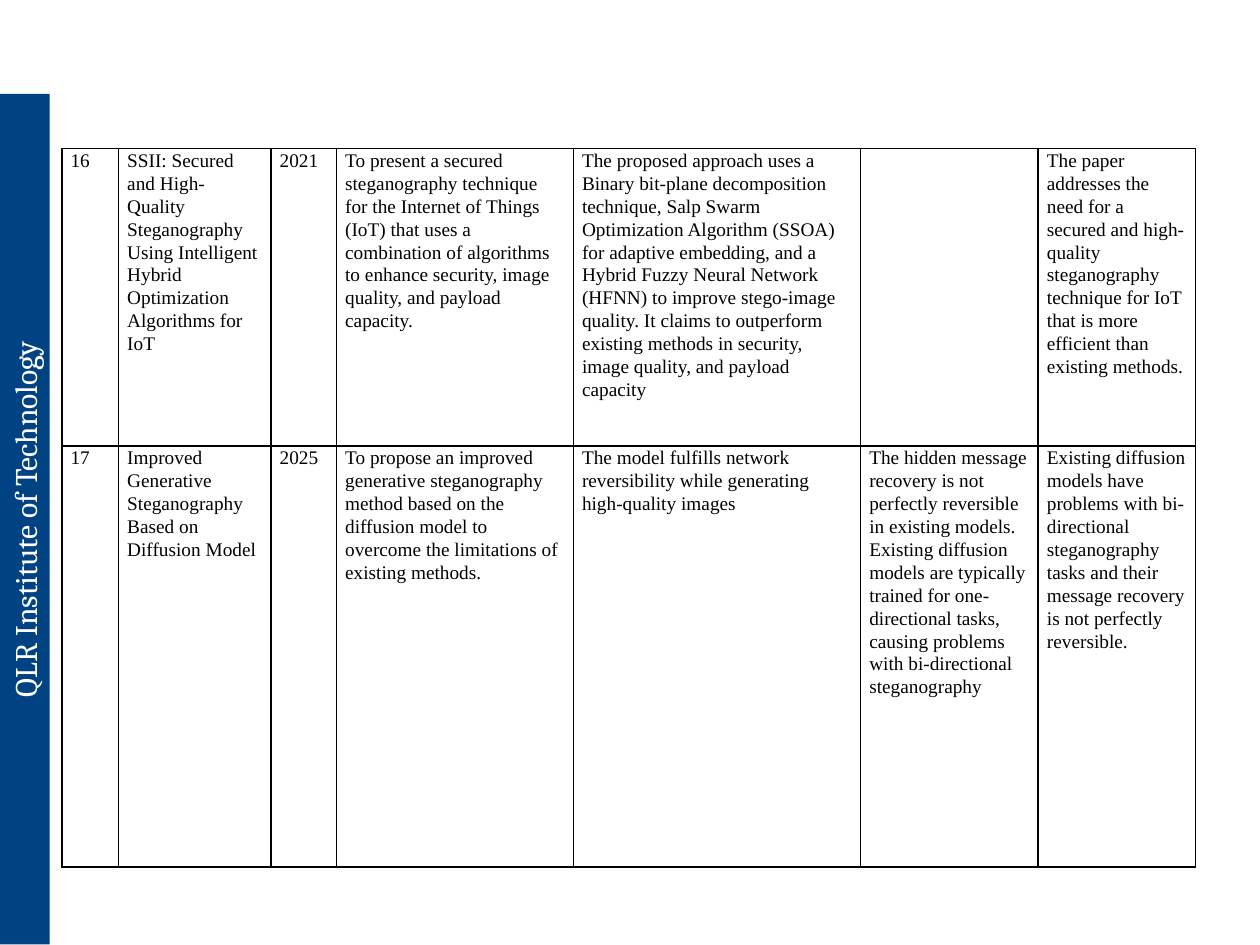
from dataclasses import dataclass
from typing import Any

from lxml import etree
from pptx import Presentation
from pptx.dml.color import RGBColor
from pptx.enum.shapes import MSO_SHAPE
from pptx.enum.text import MSO_ANCHOR, PP_ALIGN
from pptx.oxml.ns import qn
from pptx.util import Inches, Pt

RECTANGLE = MSO_SHAPE.RECTANGLE
MIDDLE = MSO_ANCHOR.MIDDLE
LEFT, CENTER = PP_ALIGN.LEFT, PP_ALIGN.CENTER
NAVY = RGBColor(0x00, 0x42, 0x82)
WHITE = RGBColor(0xFF, 0xFF, 0xFF)
BLACK = RGBColor(0x00, 0x00, 0x00)
BLANK_LAYOUT = 6

COLUMN_WIDTHS = [0.45, 1.21, 0.52, 1.88, 2.28, 1.41, 1.25]
ROW_HEIGHTS = [2.36, 3.34]
PAPERS = [
    [
        "16",
        "SSII: Secured and High-Quality Steganography Using Intelligent Hybrid "
        "Optimization Algorithms for IoT",
        "2021",
        "To present a secured steganography technique for the Internet of Things (IoT) "
        "that uses a combination of algorithms to enhance security, image quality, and "
        "payload capacity.",
        "The proposed approach uses a Binary bit-plane decomposition technique, Salp "
        "Swarm Optimization Algorithm (SSOA) for adaptive embedding, and a Hybrid Fuzzy "
        "Neural Network (HFNN) to improve stego-image quality. It claims to outperform "
        "existing methods in security, image quality, and payload capacity",
        "",
        "The paper addresses the need for a secured and high-quality steganography "
        "technique for IoT that is more efficient than existing methods.",
    ],
    [
        "17",
        "Improved Generative Steganography Based on Diffusion Model",
        "2025",
        "To propose an improved generative steganography method based on the diffusion "
        "model to overcome the limitations of existing methods.",
        "The model fulfills network reversibility while generating high-quality images",
        "The hidden message recovery is not perfectly reversible in existing models. "
        "Existing diffusion models are typically trained for one-directional tasks, "
        "causing problems with bi-directional steganography",
        "Existing diffusion models have problems with bi-directional steganography tasks "
        "and their message recovery is not perfectly reversible.",
    ],
]


def write_text(text_frame, text, *, font, size, color, align=LEFT, line_spacing=1.0):
    paragraph = text_frame.paragraphs[0]
    paragraph.alignment = align
    paragraph.line_spacing = line_spacing
    paragraph.font.size = Pt(size)
    if text:
        run = paragraph.add_run()
        run.text = text
        run.font.name = font
        run.font.size = Pt(size)
        run.font.color.rgb = color


@dataclass
class SlideBuilder:
    slide: Any
    banner_font: str = "Cambria"
    table_font: str = "Times New Roman"
    banner_size: float = 18
    table_size: float = 11
    border_width: float = 1

    def banner(self, text, left, top, width, height):
        shape = self.slide.shapes.add_shape(
            RECTANGLE, Inches(left), Inches(top), Inches(width), Inches(height))
        shape.rotation = 270
        shape.shadow.inherit = False
        shape.fill.solid()
        shape.fill.fore_color.rgb = NAVY
        shape.line.fill.background()
        shape.text_frame.word_wrap = True
        shape.text_frame.vertical_anchor = MIDDLE
        write_text(shape.text_frame, text, font=self.banner_font,
                   size=self.banner_size, color=WHITE, align=CENTER)

    def table(self, rows, left, top, column_widths, row_heights):
        frame = self.slide.shapes.add_table(
            len(rows), len(column_widths), Inches(left), Inches(top),
            Inches(sum(column_widths)), Inches(sum(row_heights)))
        table = frame.table
        table.first_row = table.horz_banding = False
        for column, width in zip(table.columns, column_widths):
            column.width = Inches(width)
        for row, height, texts in zip(table.rows, row_heights, rows):
            row.height = Inches(height)
            for cell, text in zip(row.cells, texts):
                self.cell(cell, text)

    def cell(self, cell, text):
        cell.margin_left = cell.margin_right = Inches(0.07)
        cell.margin_top = cell.margin_bottom = 0
        write_text(cell.text_frame, text, font=self.table_font,
                   size=self.table_size, color=BLACK, line_spacing=1.07)
        # Borders come before the fill in the cell properties
        properties = cell._tc.get_or_add_tcPr()
        for side in ("a:lnL", "a:lnR", "a:lnT", "a:lnB"):
            line = etree.SubElement(properties, qn(side), w=str(Pt(self.border_width)))
            fill = etree.SubElement(line, qn("a:solidFill"))
            etree.SubElement(fill, qn("a:srgbClr"), val=str(BLACK))
        cell.fill.background()


def main():
    presentation = Presentation()
    presentation.slide_width = Inches(10)
    presentation.slide_height = Inches(7.5)
    slide = presentation.slides.add_slide(presentation.slide_layouts[BLANK_LAYOUT])
    builder = SlideBuilder(slide)

    # Vertical banner on the left edge
    builder.banner("QLR Institute of Technology", -3.18, 3.92, 6.75, 0.4)

    # Literature survey
    builder.table(PAPERS, 0.49, 1.18, COLUMN_WIDTHS, ROW_HEIGHTS)

    presentation.save("out.pptx")


if __name__ == "__main__":
    main()
